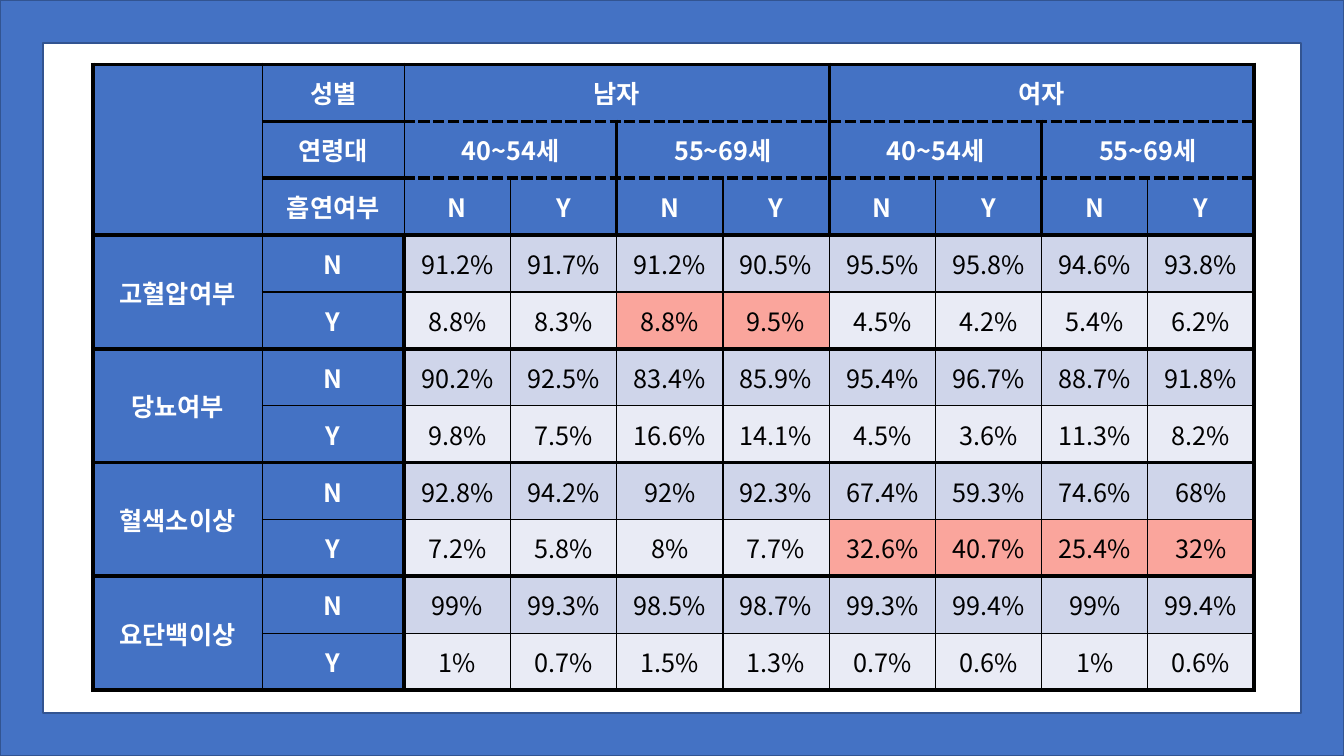
from dataclasses import dataclass

from lxml.etree import SubElement
from pptx import Presentation
from pptx.dml.color import RGBColor
from pptx.enum.shapes import MSO_SHAPE as Shape
from pptx.enum.text import MSO_ANCHOR as Anchor, PP_ALIGN as Align
from pptx.oxml.ns import qn
from pptx.util import Inches, Pt


@dataclass(frozen=True)
class Theme:
    font: str = "Noto Sans CJK KR"
    size: float = 18
    blue: str = "4472C4"
    frame_line: str = "325491"
    white: str = "FFFFFF"
    black: str = "000000"
    no_band: str = "CFD5EA"
    yes_band: str = "E9EBF5"
    highlight: str = "FAA59C"
    thin: float = 1
    medium: float = 2.25
    thick: float = 3


THEME = Theme()

# Each header row: label, group names, columns per group
HEADERS = [
    ("성별", ["남자", "여자"], 4),
    ("연령대", ["40~54세", "55~69세"] * 2, 2),
    ("흡연여부", ["N", "Y"] * 4, 1),
]
# Each condition: percentages without it (N), then with it (Y)
CONDITIONS = {
    "고혈압여부": ("91.2 91.7 91.2 90.5 95.5 95.8 94.6 93.8", "8.8 8.3 8.8 9.5 4.5 4.2 5.4 6.2"),
    "당뇨여부": ("90.2 92.5 83.4 85.9 95.4 96.7 88.7 91.8", "9.8 7.5 16.6 14.1 4.5 3.6 11.3 8.2"),
    "혈색소이상": ("92.8 94.2 92 92.3 67.4 59.3 74.6 68", "7.2 5.8 8 7.7 32.6 40.7 25.4 32"),
    "요단백이상": ("99 99.3 98.5 98.7 99.3 99.4 99 99.4", "1 0.7 1.5 1.3 0.7 0.6 1 0.6"),
}
HIGHLIGHTS = {"고혈압여부": range(2, 4), "혈색소이상": range(4, 8)}

SLIDE_WIDTH, SLIDE_HEIGHT = 13.33, 7.5
TABLE_LEFT, TABLE_TOP, TABLE_WIDTH, TABLE_HEIGHT = 0.92, 0.64, 11.52, 6.21
LABEL_WIDTHS = [1.68, 1.41]
LABEL_COLUMNS, VALUE_COLUMNS = len(LABEL_WIDTHS), 8
HEADER_ROWS = len(HEADERS)
ROWS = HEADER_ROWS + 2 * len(CONDITIONS)
COLUMNS = LABEL_COLUMNS + VALUE_COLUMNS


def color(value):
    return RGBColor.from_string(value)


def horizontal_border(edge, column):
    """Width and dash of the line above row number `edge`."""
    if 0 < edge < HEADER_ROWS:
        return THEME.thick, "dash" if column >= LABEL_COLUMNS else "solid"
    within_condition = edge > HEADER_ROWS and (edge - HEADER_ROWS) % 2
    return THEME.thin if within_condition else THEME.thick, "solid"


def vertical_border(edge, row):
    """Width and dash of the line left of column number `edge`."""
    in_header = row < HEADER_ROWS
    if edge in (0, COLUMNS) or (edge == LABEL_COLUMNS and not in_header):
        return THEME.thick, "solid"
    between_groups = in_header and edge > LABEL_COLUMNS and edge % 2 == 0
    return THEME.medium if between_groups else THEME.thin, "solid"


def add_border(cell, tag, width, dash):
    properties = cell._tc.get_or_add_tcPr()
    line = SubElement(properties, qn(tag), w=str(int(Pt(width))))
    fill = SubElement(line, qn("a:solidFill"))
    SubElement(fill, qn("a:srgbClr"), val=THEME.black)
    SubElement(line, qn("a:prstDash"), val=dash)


def write_text(cell, text, is_label):
    cell.vertical_anchor = Anchor.MIDDLE
    paragraph = cell.text_frame.paragraphs[0]
    paragraph.alignment = Align.CENTER
    run = paragraph.add_run()
    run.text = text
    formats = {"name": THEME.font, "size": Pt(THEME.size), "bold": is_label}
    for name, value in formats.items():
        setattr(run.font, name, value)
    run.font.color.rgb = color(THEME.white if is_label else THEME.black)
    SubElement(run._r.get_or_add_rPr(), qn("a:ea"), typeface=THEME.font)


def fill_block(table, row, column, text, fill, height=1, width=1):
    """Fill, border and label one cell or one merged block of cells."""
    bottom, right = row + height, column + width
    first = table.cell(row, column)
    if height * width > 1:
        first.merge(table.cell(bottom - 1, right - 1))
    for r in range(row, bottom):
        for c in range(column, right):
            cell, is_first = table.cell(r, c), (r, c) == (row, column)
            borders = [
                ("a:lnL", c == column, vertical_border(column, r)),
                ("a:lnR", is_first or c == right - 1, vertical_border(right, r)),
                ("a:lnT", r == row, horizontal_border(row, c)),
                ("a:lnB", is_first or r == bottom - 1, horizontal_border(bottom, c)),
            ]
            for tag, is_outer, style in borders:
                if is_outer:
                    add_border(cell, tag, *style)
            cell.fill.solid()
            cell.fill.fore_color.rgb = color(fill)
    if text:
        write_text(first, text, is_label=fill == THEME.blue)


def add_frame(slide):
    frame = slide.shapes.add_shape(
        Shape.FRAME, 0, 0, Inches(SLIDE_WIDTH), Inches(SLIDE_HEIGHT))
    frame.adjustments[0] = 0.057
    frame.shadow.inherit = False
    frame.fill.solid()
    frame.fill.fore_color.rgb = color(THEME.blue)
    frame.line.color.rgb = color(THEME.frame_line)
    frame.line.width = Pt(THEME.thin)


def add_health_table(slide):
    bounds = [Inches(v) for v in (TABLE_LEFT, TABLE_TOP, TABLE_WIDTH, TABLE_HEIGHT)]
    table = slide.shapes.add_table(ROWS, COLUMNS, *bounds).table
    value_width = (TABLE_WIDTH - sum(LABEL_WIDTHS)) / VALUE_COLUMNS
    widths = LABEL_WIDTHS + [value_width] * VALUE_COLUMNS
    for column, width in zip(table.columns, widths):
        column.width = Inches(width)
    for row in table.rows:
        row.height = Inches(TABLE_HEIGHT / ROWS)

    fill_block(table, 0, 0, "", THEME.blue, height=HEADER_ROWS)
    for row, (label, groups, span) in enumerate(HEADERS):
        fill_block(table, row, 1, label, THEME.blue)
        for index, group in enumerate(groups):
            fill_block(table, row, LABEL_COLUMNS + index * span, group, THEME.blue, width=span)

    for index, (condition, answers) in enumerate(CONDITIONS.items()):
        top = HEADER_ROWS + 2 * index
        fill_block(table, top, 0, condition, THEME.blue, height=2)
        bands = zip("NY", answers, (THEME.no_band, THEME.yes_band))
        for row, (answer, values, band) in enumerate(bands, top):
            fill_block(table, row, 1, answer, THEME.blue)
            for position, value in enumerate(values.split()):
                marked = answer == "Y" and position in HIGHLIGHTS.get(condition, ())
                fill_block(table, row, LABEL_COLUMNS + position, f"{value}%",
                           THEME.highlight if marked else band)


def main():
    presentation = Presentation()
    presentation.slide_width = Inches(SLIDE_WIDTH)
    presentation.slide_height = Inches(SLIDE_HEIGHT)
    blank_layout = presentation.slide_layouts[6]
    slide = presentation.slides.add_slide(blank_layout)
    add_frame(slide)
    add_health_table(slide)
    presentation.save("out.pptx")


if __name__ == "__main__":
    main()
